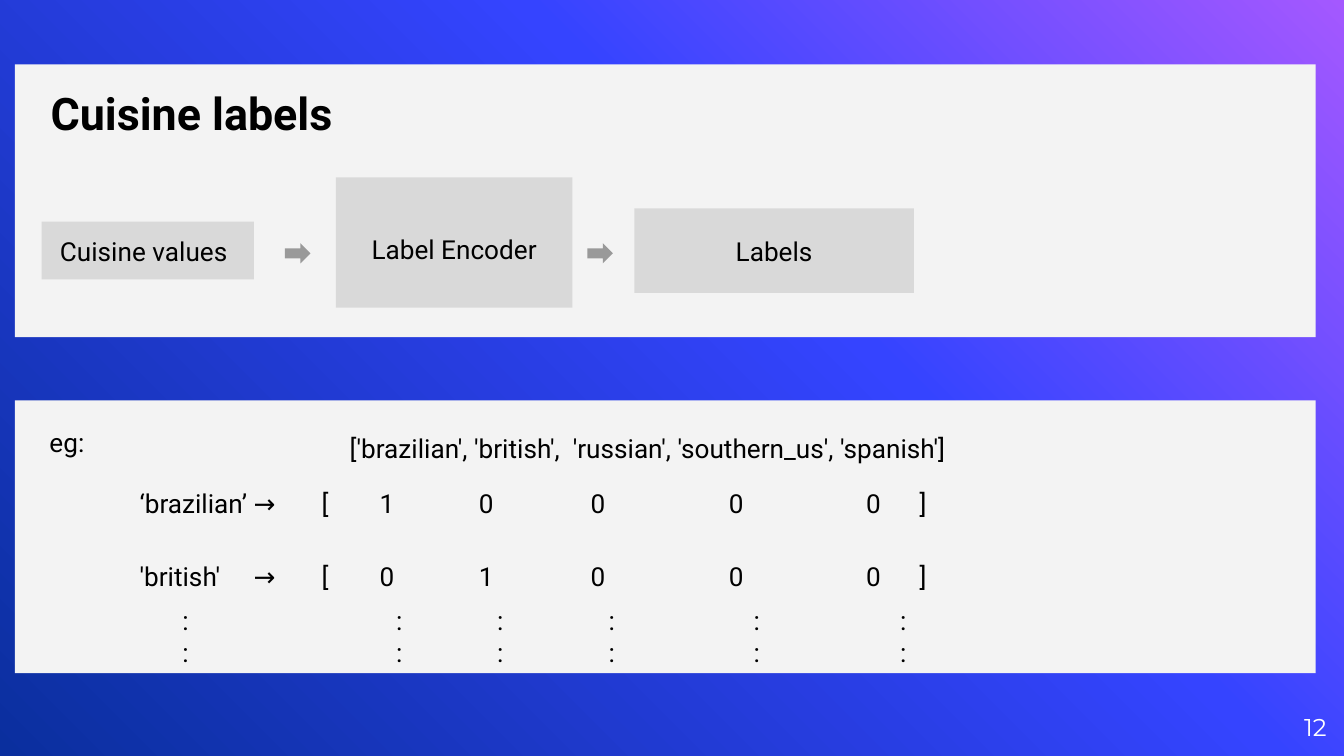
import copy
import dataclasses

import lxml.etree
import pptx
import pptx.dml.color
import pptx.enum.shapes
import pptx.enum.text
import pptx.oxml.ns
import pptx.util

COLS, ROWS = 100, 56.25
CELL = 0.1
SHAPE = pptx.enum.shapes.MSO_SHAPE
ALIGN = pptx.enum.text.PP_ALIGN
ANCHOR = pptx.enum.text.MSO_ANCHOR


@dataclasses.dataclass(frozen=True)
class Theme:
    """Colours, fonts and type sizes of the slide."""
    gradient: tuple = ((0, "A458FF"), (0.39, "3544FF"), (1, "0A2F9E"))
    panel: str = "F3F3F3"
    block: str = "D9D9D9"
    arrow: str = "999999"
    ink: str = "000000"
    light: str = "FFFFFF"
    font: str = "Roboto"
    number_font: str = "Montserrat"
    title: int = 24
    body: int = 14
    number: int = 13


THEME = Theme()


def rgb(value):
    """Turn a hex string into a colour."""
    return pptx.dml.color.RGBColor.from_string(value)


def cells(n):
    """Turn a number of grid cells into a length."""
    return pptx.util.Inches(n * CELL)


def place(box, x, y, w, h):
    """Give the lengths of a part offset from the corner of its box."""
    return [cells(n) for n in (box[0] + x, box[1] + y, w, h)]


def write(sp, text, size=THEME.body, font=THEME.font, color=THEME.ink, bold=False,
          align=ALIGN.LEFT, anchor=ANCHOR.TOP, insets=(1, 1, 1, 1), tabs=()):
    """Fill a shape with one paragraph per line of text."""
    tf = sp.text_frame
    tf.word_wrap = True
    tf.vertical_anchor = anchor
    tf.margin_left, tf.margin_top, tf.margin_right, tf.margin_bottom = map(cells, insets)
    for i, line in enumerate(text.split("\n")):
        p = tf.paragraphs[0] if i == 0 else tf.add_paragraph()
        p.alignment = align
        r = p.add_run()
        r.text = line
        r.font.size, r.font.name, r.font.bold = pptx.util.Pt(size), font, bold
        r.font.color.rgb = rgb(color)
        if tabs:
            qn = pptx.oxml.ns.qn
            stops = lxml.etree.SubElement(p._p.get_or_add_pPr(), qn("a:tabLst"))
            for tab in tabs:
                lxml.etree.SubElement(stops, qn("a:tab"), pos=str(cells(tab)), algn="ctr")


def add_text(s, box, at, text, **fmt):
    """Add a text box."""
    write(s.shapes.add_textbox(*place(box, *at)), text, **fmt)


def add_block(s, box, at, fill, kind=SHAPE.RECTANGLE):
    """Add a flat filled shape."""
    sp = s.shapes.add_shape(kind, *place(box, *at))
    sp.shadow.inherit = False
    sp.fill.solid()
    sp.fill.fore_color.rgb = rgb(fill)
    sp.line.fill.background()
    return sp


def add_background(s):
    """Paint the diagonal three-colour gradient."""
    fill = s.background.fill
    fill.gradient()
    fill.gradient_angle = 225
    first = s.element.xpath(".//a:gs")[0]
    first.addnext(copy.deepcopy(first))
    for stop, (position, color) in zip(fill.gradient_stops, THEME.gradient):
        stop.position = position
        stop.color.rgb = rgb(color)


def add_pipeline(s, box):
    """Draw the panel that turns cuisine values into labels."""
    add_block(s, box, (0, 0, *box[2:]), THEME.panel)
    add_text(s, box, (0.7, 0.6, 24.9, 6), "Cuisine labels",
             size=THEME.title, bold=True, align=ALIGN.CENTER)
    steps = [
        ("Cuisine values", (2, 11.7, 15.8, 4.3), ANCHOR.MIDDLE, (1, 1, 1.6, 1)),
        ("Label Encoder", (23.9, 8.4, 17.6, 9.7), ANCHOR.BOTTOM, (1, 1, 1, 3.2)),
        ("Labels", (46.1, 10.7, 20.8, 6.3), ANCHOR.MIDDLE, (1, 1, 1, 1)),
    ]
    for text, at, anchor, insets in steps:
        write(add_block(s, box, at, THEME.block), text,
              align=ALIGN.CENTER, anchor=anchor, insets=insets)
    for x in (20.1, 42.6):
        add_block(s, box, (x, 13.3, 1.9, 1.5), THEME.arrow, SHAPE.RIGHT_ARROW)


def add_example(s, box):
    """Draw the panel with one-hot rows under the list of cuisines."""
    add_block(s, box, (0, 0, *box[2:]), THEME.panel)
    add_text(s, box, (1.6, 0.9, 5, 3.7), "eg:")
    add_text(s, box, (11.7, 1.4, 70.8, 5.7),
             "['brazilian', 'british',  'russian', 'southern_us', 'spanish']",
             align=ALIGN.CENTER)
    tabs = (9.3, 13.8, 18.4, 25.8, 34.1, 44.4, 54.6, 58.3)
    for y, name, code in ((5.5, "‘brazilian’", "10000"), (10.9, "'british'", "01000")):
        add_text(s, box, (8.3, y, 70.2, 4), "\t".join([name, "→", "[", *code, "]"]), tabs=tabs)
    for x in (11.5, 27.4, 34.9, 43.2, 54, 64.9):
        add_text(s, box, (x, 14.2, 3.4, 7.1), ":\n:")


def add_number(s, box, text):
    """Write the slide number."""
    add_text(s, box, (0, 0, *box[2:]), text, size=THEME.number, font=THEME.number_font,
             color=THEME.light, align=ALIGN.RIGHT, anchor=ANCHOR.MIDDLE, insets=(0, 0, 0, 0))


def main():
    """Build and save the slide."""
    prs = pptx.Presentation()
    prs.slide_width, prs.slide_height = cells(COLS), cells(ROWS)
    s = prs.slides.add_slide(prs.slide_layouts[6])
    add_background(s)
    add_pipeline(s, (1.1, 4.8, 96.8, 20.3))
    add_example(s, (1.1, 29.8, 96.8, 20.3))
    add_number(s, (92.7, 51.9, 6, 4.3), "12")
    prs.save("out.pptx")


if __name__ == "__main__":
    main()
